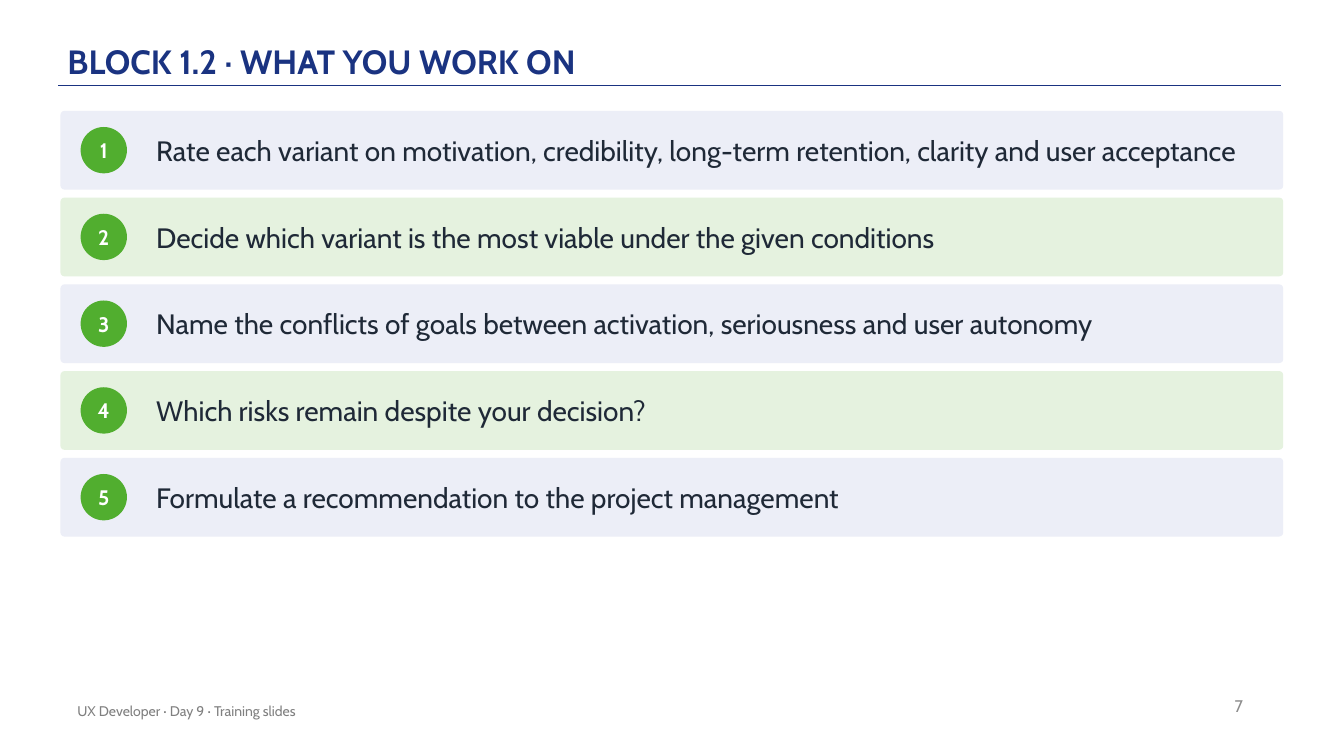
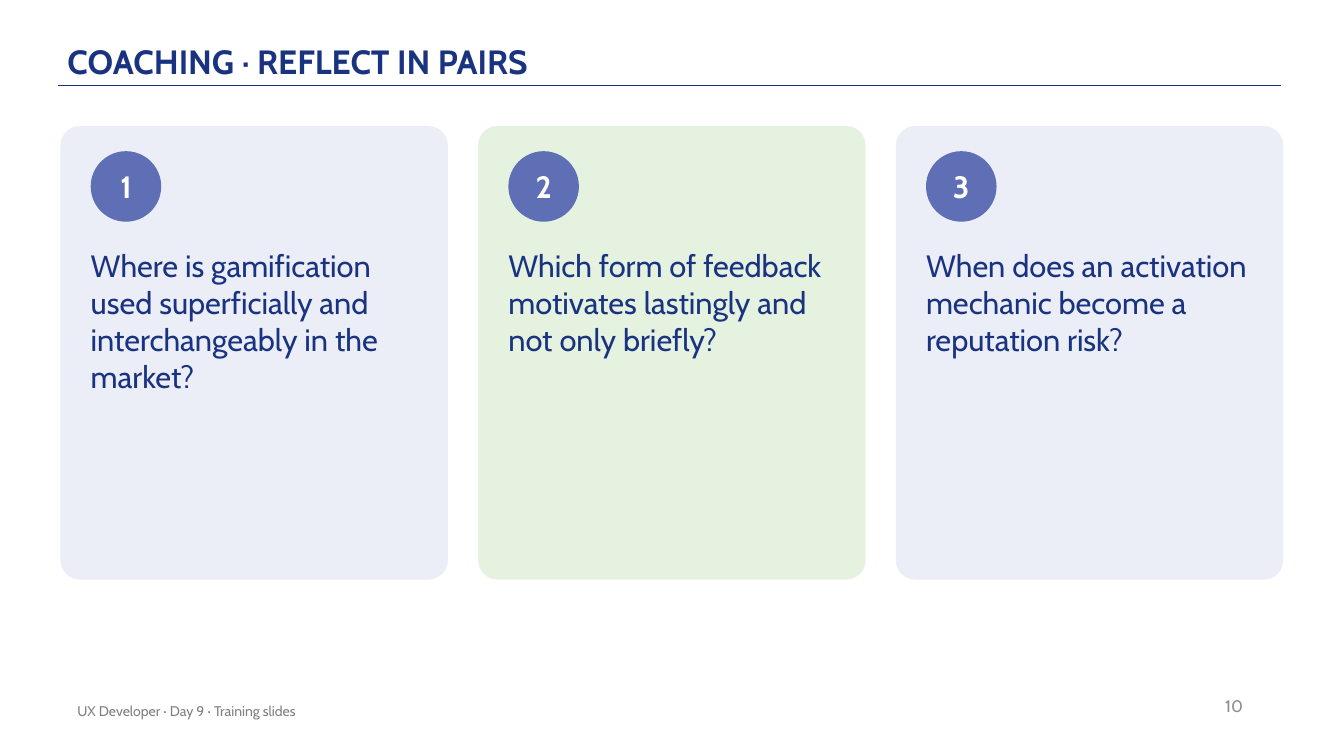
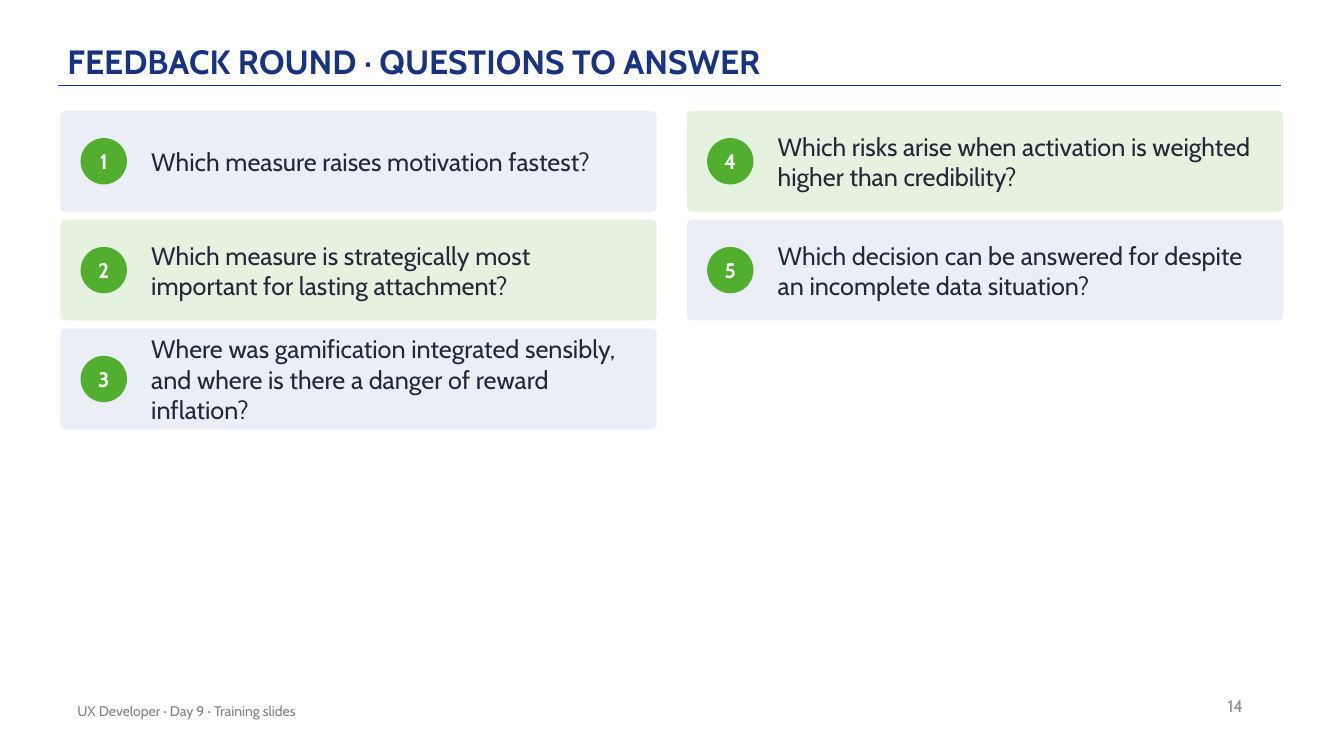
import pptx
import pptx.util
import pptx.dml.color
import pptx.enum.shapes
import pptx.enum.text
import pptx.oxml.ns
from lxml import etree

Pt = pptx.util.Pt
Align = pptx.enum.text.PP_ALIGN
Anchor = pptx.enum.text.MSO_ANCHOR
Shape = pptx.enum.shapes.MSO_SHAPE

COLORS = {
    "navy": "1A3381", "ink": "1F2937", "white": "FFFFFF",
    "lavender": "ECEEF7", "mint": "E5F2DF",
    "green": "51AE2F", "indigo": "5F6FB5",
    "number": "8C8C8C", "footer": "808080",
}
FONT = "Cabin"
FOOTER = "UX Developer · Day 9 · Training slides"
LEFT, WIDTH, COLUMN_GAP, ROW_GAP = 43.2, 873.4, 21.6, 5.76


def write(box, text, size, color, bold=False, align=Align.LEFT,
          anchor=Anchor.MIDDLE, margins=(0, 0)):
    """Put one formatted paragraph in box; margins are horizontal and vertical."""
    frame = box.text_frame
    side, edge = (Pt(margin) for margin in margins)
    frame_format = {
        "word_wrap": True, "auto_size": pptx.enum.text.MSO_AUTO_SIZE.NONE,
        "vertical_anchor": anchor, "margin_left": side, "margin_right": side,
        "margin_top": edge, "margin_bottom": edge,
    }
    for name, value in frame_format.items():
        setattr(frame, name, value)
    para = frame.paragraphs[0]
    para.alignment = align
    span = para.add_run()
    span.text = text
    for name, value in {"name": FONT, "size": Pt(size), "bold": bold}.items():
        setattr(span.font, name, value)
    span.font.color.rgb = pptx.dml.color.RGBColor.from_string(COLORS[color])
    return para


def add_filled(page, kind, left, top, width, height, color):
    shape = page.shapes.add_shape(kind, Pt(left), Pt(top), Pt(width), Pt(height))
    shape.shadow.inherit = False
    shape.fill.solid()
    shape.fill.fore_color.rgb = pptx.dml.color.RGBColor.from_string(COLORS[color])
    shape.line.fill.background()
    return shape


# Insets of the text in a card run left, top, right, bottom.
ROW_STYLE = {
    "top": 79.2, "badge_left": 14.4, "badge_size": 33.1, "badge_color": "green",
    "badge_font": 15, "text_color": "ink", "anchor": Anchor.MIDDLE,
}
PAGES = [
    {
        **ROW_STYLE, "title": "BLOCK 1.2 · WHAT YOU WORK ON", "number": "7",
        "columns": 1, "rows": 5, "height": 56.2,
        "insets": (68.4, 0, 18, 0), "text_size": 20,
        "items": [
            "Rate each variant on motivation, credibility, long-term retention, clarity and user acceptance",
            "Decide which variant is the most viable under the given conditions",
            "Name the conflicts of goals between activation, seriousness and user autonomy",
            "Which risks remain despite your decision?",
            "Formulate a recommendation to the project management",
        ],
    },
    {
        "title": "COACHING · REFLECT IN PAIRS", "number": "10",
        "columns": 3, "rows": 1, "top": 90, "height": 324,
        "badge_left": 21.6, "badge_top": 18, "badge_size": 50.4,
        "badge_color": "indigo", "badge_font": 22,
        "insets": (21.6, 86.4, 21.6, 14.4), "text_size": 22,
        "text_color": "navy", "anchor": Anchor.TOP,
        "items": [
            "Where is gamification used superficially and interchangeably in the market?",
            "Which form of feedback motivates lastingly and not only briefly?",
            "When does an activation mechanic become a reputation risk?",
        ],
    },
    {
        **ROW_STYLE, "title": "FEEDBACK ROUND · QUESTIONS TO ANSWER", "number": "14",
        "columns": 2, "rows": 3, "height": 72,
        "insets": (64.8, 0, 14.4, 0), "text_size": 18,
        "items": [
            "Which measure raises motivation fastest?",
            "Which measure is strategically most important for lasting attachment?",
            "Where was gamification integrated sensibly, and where is there a danger of reward inflation?",
            "Which risks arise when activation is weighted higher than credibility?",
            "Which decision can be answered for despite an incomplete data situation?",
        ],
    },
]

deck = pptx.Presentation()
deck.slide_width, deck.slide_height = Pt(960), Pt(540)
title_only = deck.slide_layouts[5]

for content in PAGES:
    page = deck.slides.add_slide(title_only)

    rule = page.shapes.add_connector(
        pptx.enum.shapes.MSO_CONNECTOR.STRAIGHT, Pt(41.8), Pt(61.2), Pt(915.1), Pt(61.2))
    rule.line.width = Pt(1)
    rule.line.color.rgb = pptx.dml.color.RGBColor.from_string(COLORS["navy"])
    etree.SubElement(rule.element.spPr, pptx.oxml.ns.qn("a:effectLst"))

    title = page.shapes.title
    title_place = {"left": 48.2, "top": 8.6, "width": 792, "height": 51.8}
    for name, value in title_place.items():
        setattr(title, name, Pt(value))
    para = write(title, content["title"], 24, "navy", bold=True,
                 anchor=Anchor.BOTTOM, margins=(0, 2.2))
    para.line_spacing = 0.9

    number = page.shapes.add_textbox(Pt(679), Pt(489.6), Pt(216), Pt(28.8))
    write(number, content["number"], 12, "number", align=Align.RIGHT, margins=(7.2, 3.6))
    footer = page.shapes.add_textbox(Pt(48.2), Pt(493.2), Pt(482.4), Pt(28.8))
    write(footer, FOOTER, 10, "footer", margins=(7.2, 3.6))

    columns, height = content["columns"], content["height"]
    width = (WIDTH - (columns - 1) * COLUMN_GAP) / columns
    badge_size = content["badge_size"]
    badge_top = content.get("badge_top", (height - badge_size) / 2)
    inset_left, inset_top, inset_right, inset_bottom = content["insets"]

    for index, item in enumerate(content["items"]):
        column, row = divmod(index, content["rows"])
        left = LEFT + column * (width + COLUMN_GAP)
        top = content["top"] + row * (height + ROW_GAP)
        card = add_filled(page, Shape.ROUNDED_RECTANGLE, left, top, width, height,
                          ("lavender", "mint")[index % 2])
        card.adjustments[0] = 0.05
        badge = add_filled(page, Shape.OVAL, left + content["badge_left"], top + badge_top,
                           badge_size, badge_size, content["badge_color"])
        write(badge, str(index + 1), content["badge_font"], "white",
              bold=True, align=Align.CENTER)
        box = page.shapes.add_textbox(
            Pt(left + inset_left), Pt(top + inset_top),
            Pt(width - inset_left - inset_right), Pt(height - inset_top - inset_bottom))
        write(box, item, content["text_size"], content["text_color"],
              anchor=content["anchor"])

deck.save("out.pptx")
